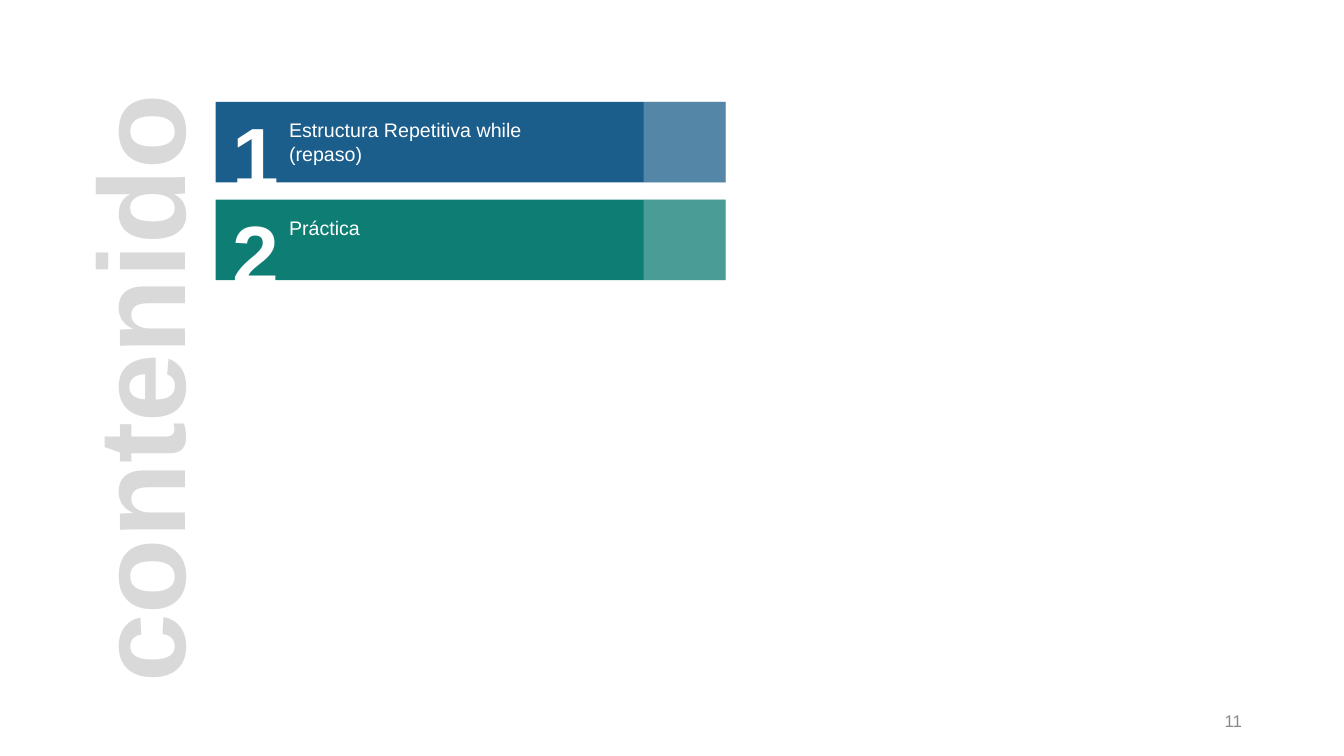
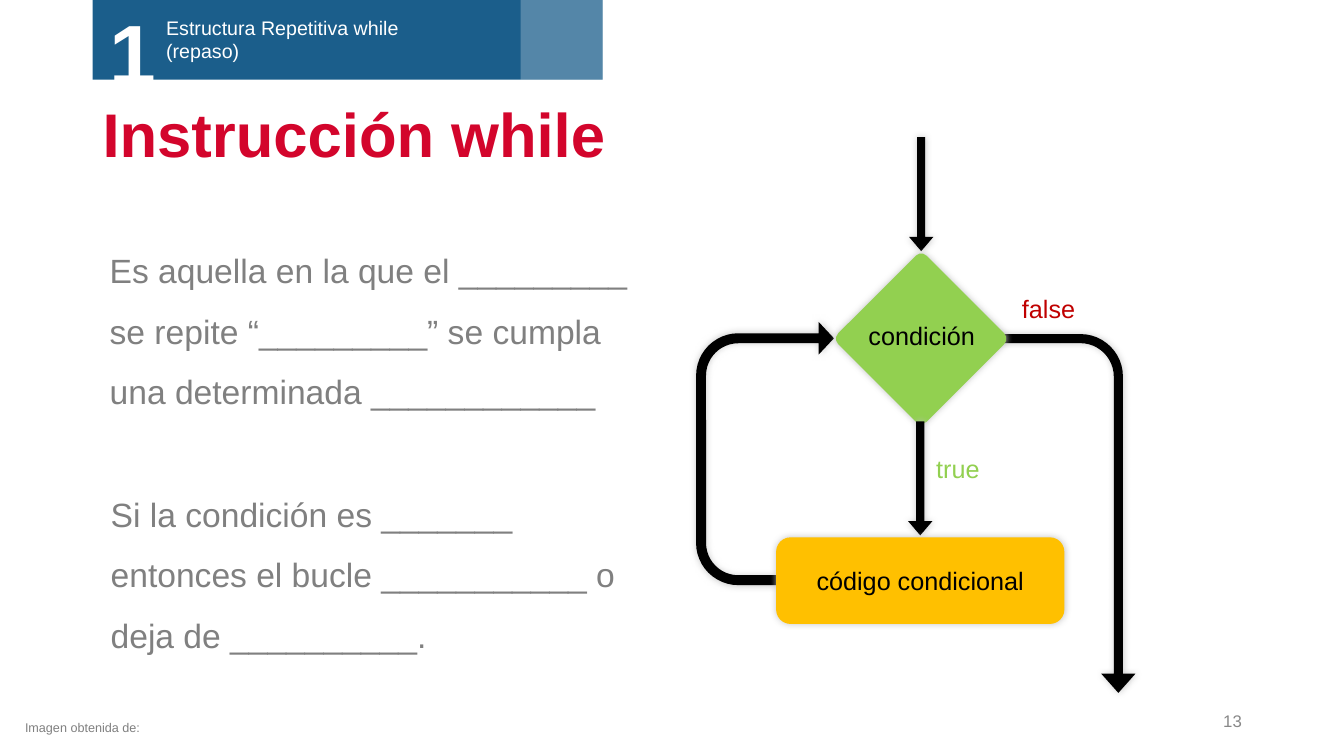
from dataclasses import dataclass

from lxml import etree
from pptx import Presentation
from pptx.dml.color import RGBColor
from pptx.enum.shapes import MSO_SHAPE
from pptx.enum.text import MSO_ANCHOR, PP_ALIGN
from pptx.oxml.ns import qn
from pptx.util import Pt

RECT, ROUND = MSO_SHAPE.RECTANGLE, MSO_SHAPE.ROUNDED_RECTANGLE
DOWN, BENT, UTURN = MSO_SHAPE.DOWN_ARROW, MSO_SHAPE.BENT_ARROW, MSO_SHAPE.U_TURN_ARROW
TOP, MIDDLE = MSO_ANCHOR.TOP, MSO_ANCHOR.MIDDLE
LEFT, CENTER, RIGHT = PP_ALIGN.LEFT, PP_ALIGN.CENTER, PP_ALIGN.RIGHT


@dataclass(frozen=True)
class Theme:
    font: str = "Arial"
    white: str = "FFFFFF"
    black: str = "000000"
    blue: str = "1B5E8B"
    teal: str = "0E7D73"
    red: str = "D3052C"
    gray: str = "808080"
    number_gray: str = "888888"
    pale_gray: str = "D9D9D9"
    shadow: str = "C0C0C0"
    green: str = "92D050"
    amber: str = "FFC000"
    dark_red: str = "C00000"
    watermark: int = 88
    numeral: int = 60
    title: int = 44
    body: int = 24
    flow: int = 18
    label: int = 14
    footer: int = 12
    note: int = 9


THEME = Theme()
TOPIC_REVIEW = "Estructura Repetitiva while\v(repaso)"
TOPICS = [(TOPIC_REVIEW, THEME.blue), ("Práctica", THEME.teal)]
BANNER_WIDTH, BANNER_HEIGHT, BANNER_GAP = 364.3, 57.6, 12.3
BODY = [
    (71.3, 160.6, "Es aquella en la que el _________ se repite “_________” "
                  "se cumpla una determinada ____________"),
    (72, 334.8, "Si la condición es _______ entonces el bucle ___________ "
                "o deja de __________."),
]


def write(shape, text, size, color, bold=False, align=LEFT, anchor=TOP,
          spacing=1.0, wrap=True):
    frame = shape.text_frame
    frame.word_wrap = wrap
    frame.vertical_anchor = anchor
    para = frame.paragraphs[0]
    para.text = text
    para.alignment = align
    para.line_spacing = spacing
    formats = {"name": THEME.font, "size": Pt(size), "bold": bold}
    for name, value in formats.items():
        setattr(para.font, name, value)
    para.font.color.rgb = RGBColor.from_string(color)


def add_text(page, box, text, size, color, rotation=0, **options):
    shape = page.shapes.add_textbox(*map(Pt, box))
    shape.rotation = rotation
    write(shape, text, size, color, **options)


def add_block(page, kind, box, color, rotation=0, adjustments=(), opacity=None):
    shape = page.shapes.add_shape(kind, *map(Pt, box))
    shape.shadow.inherit = False
    shape.rotation = rotation
    shape.fill.solid()
    shape.fill.fore_color.rgb = RGBColor.from_string(color)
    shape.line.fill.background()
    for index, value in enumerate(adjustments):
        shape.adjustments[index] = value
    if opacity is not None:
        fill_color = shape.fill._xPr.find(".//" + qn("a:srgbClr"))
        etree.SubElement(fill_color, qn("a:alpha"), val=str(opacity * 1000))
    return shape


def add_soft_block(page, *details, **options):
    shape = add_block(page, *details, **options)
    effects = shape.element.spPr.find(qn("a:effectLst"))
    shadow = etree.SubElement(effects, qn("a:outerShdw"), blurRad=str(Pt(5)),
                              dist="0", algn="ctr", rotWithShape="0")
    color = etree.SubElement(shadow, qn("a:srgbClr"), val=THEME.shadow)
    etree.SubElement(color, qn("a:alpha"), val="90000")
    return shape


def add_banner(page, left, top, number, topic, color):
    tint_width = 58.5
    add_block(page, RECT, (left, top, BANNER_WIDTH, BANNER_HEIGHT), color)
    add_text(page, (left + 45.4, top + 8.3, 198, 41), topic, THEME.label, THEME.white)
    add_text(page, (left + 5, top - 2.5, 80.6, 80), str(number), THEME.numeral,
             THEME.white, bold=True)
    add_block(page, RECT, (left + BANNER_WIDTH - tint_width, top, tint_width,
                           BANNER_HEIGHT), THEME.white, opacity=25)


def add_page_number(page, number):
    add_text(page, (678.2, 500.4, 216, 28.8), str(number), THEME.footer,
             THEME.number_gray, align=RIGHT, anchor=MIDDLE)


def add_flowchart(page, left, top):
    def place(x, y, width, height):
        return left + x, top + y, width, height

    def down_arrow(x, y):
        add_soft_block(page, DOWN, place(x, y, 17.3, 81.4), THEME.black,
                       adjustments=(0.333, 0.584))

    add_soft_block(page, UTURN, place(-33.4, 162.6, 188, 126.7), THEME.black,
                   rotation=270, adjustments=(0.056, 0.092, 0.086, 0.238, 0.777))
    down_arrow(149.4, 0)
    add_soft_block(page, BENT, place(133.6, 219.5, 256.3, 98.6), THEME.black,
                   rotation=90, adjustments=(0.066, 0.124, 0.139, 0.308))
    add_soft_block(page, ROUND, place(113.4, 99.3, 89.3, 89.3), THEME.green,
                   rotation=315, adjustments=(0.061,))
    add_text(page, place(112.7, 127.4, 91.4, 28.8), "condición", THEME.flow,
             THEME.black, align=CENTER, wrap=False)
    add_text(page, place(161.7, 222.4, 120.2, 28.8), "true", THEME.flow, THEME.green)
    add_text(page, place(222.9, 107.9, 64.8, 28.8), "false", THEME.flow, THEME.dark_red)
    down_arrow(148.7, 203)
    action = add_soft_block(page, ROUND, place(54.4, 285.8, 205.9, 61.9), THEME.amber)
    write(action, "código condicional", THEME.flow, THEME.black,
          align=CENTER, anchor=MIDDLE)


def build_contents(page):
    add_page_number(page, 11)
    for index, (topic, color) in enumerate(TOPICS):
        top = 72.7 + index * (BANNER_HEIGHT + BANNER_GAP)
        add_banner(page, 154, top, index + 1, topic, color)
    add_text(page, (-122.4, 217.4, 440.6, 113.8), "contenido", THEME.watermark,
             THEME.pale_gray, rotation=270, bold=True, wrap=False)


def build_while(page):
    add_text(page, (66.2, 67, 828, 61.9), "Instrucción while", THEME.title, THEME.red,
             bold=True, anchor=MIDDLE, spacing=0.9)
    add_page_number(page, 13)
    add_banner(page, 66.2, -0.7, 1, TOPIC_REVIEW, THEME.blue)
    add_text(page, (10.8, 510.5, 492.5, 18), "Imagen obtenida de:", THEME.note, THEME.gray)
    add_flowchart(page, 500, 98)
    for left, top, text in BODY:
        add_text(page, (left, top, 388.8, 132.5), text, THEME.body, THEME.gray, spacing=1.5)


def main():
    deck = Presentation()
    deck.slide_width, deck.slide_height = Pt(960), Pt(540)
    for build in (build_contents, build_while):
        build(deck.slides.add_slide(deck.slide_layouts[6]))
    deck.save("out.pptx")


if __name__ == "__main__":
    main()
